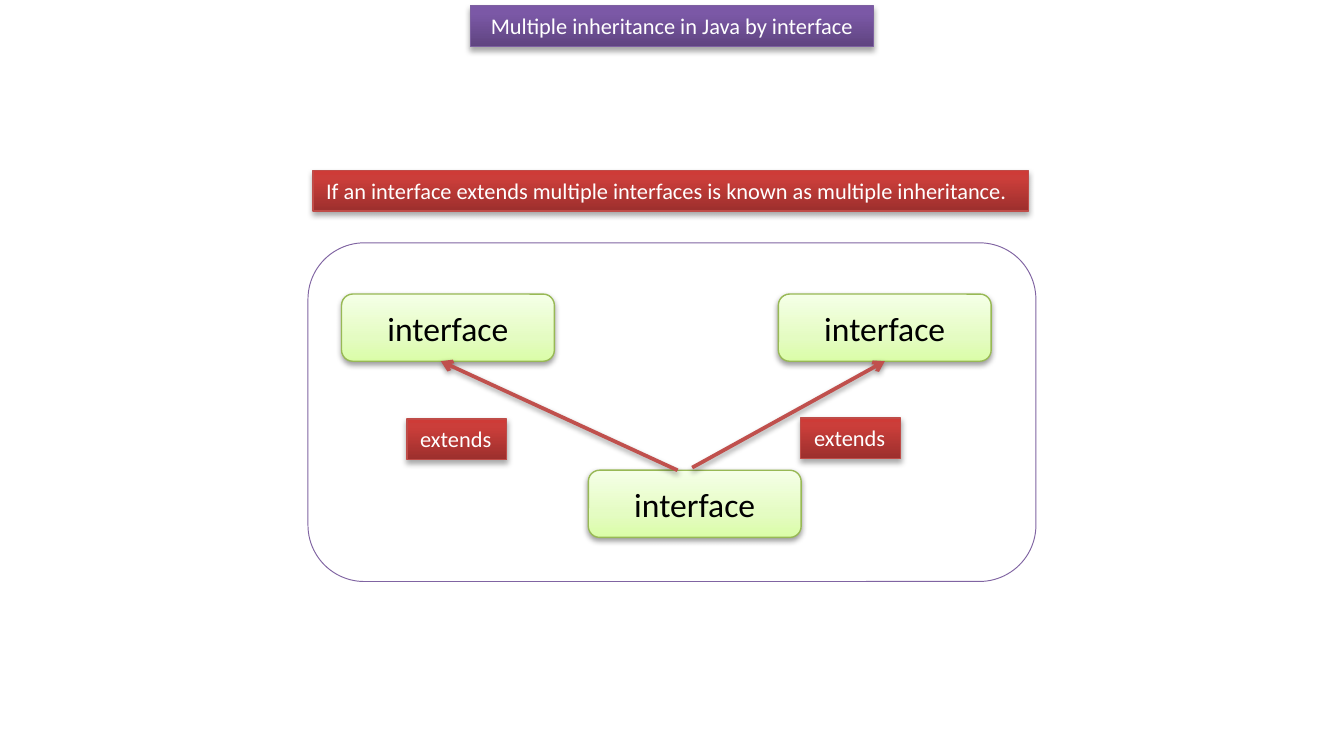
from lxml import etree
from pptx import Presentation
from pptx.dml.color import RGBColor
from pptx.enum.shapes import MSO_CONNECTOR, MSO_SHAPE
from pptx.enum.text import MSO_ANCHOR, PP_ALIGN
from pptx.oxml.ns import qn
from pptx.util import Pt

FONT = "Calibri"
COLORS = {"white": "FFFFFF", "black": "000000", "frame": "8064A2", "arrow": "C0504D"}

# Gradients run from the bottom edge (0 %) to the top edge (100 %)
STYLES = {
    "purple": {"stops": [(0, "5F4480"), (80, "7B58A6"), (100, "7C57A8")],
               "line": "7D60A0", "text": COLORS["white"], "size": 12, "shadow": (35, 1.8)},
    "red": {"stops": [(0, "9C2F2D"), (80, "CB3E3A"), (100, "CE3B37")],
            "line": "BF4C48", "text": COLORS["white"], "size": 12, "shadow": (35, 1.8)},
    "green": {"stops": [(0, "DAFDA7"), (35, "E4FCC2"), (100, "F5FFE7")],
              "line": "98B955", "text": COLORS["black"], "size": 18, "shadow": (38, 1.6)},
}

# Content: text and position in points
FRAME = (165, 130.1, 390, 181.5)
LABEL_H = 21.8
TITLE = ("Multiple inheritance in Java by interface", 252, 3, 216)
STATEMENT = ("If an interface extends multiple interfaces is known as multiple inheritance.",
             167.6, 91.4, 383.4)
BOX_W, BOX_H = 114, 36
PARENT_Y, CHILD_Y = 157.6, 252
INTERFACES = [("interface", 417, PARENT_Y), ("interface", 183, PARENT_Y),
              ("interface", 315.2, CHILD_Y)]
ARROWS = [((363, 252), (236.2, 193.6)), ((370.8, 250.6), (474, 193.6))]
EXTENDS = [("extends", 218, 224.5, 53.5), ("extends", 429, 223.9, 53.5)]


def rgb(value):
    return RGBColor.from_string(value)


def add_shadow(effects, alpha, distance):
    shadow = etree.SubElement(effects, qn("a:outerShdw"), blurRad=str(Pt(3.1)),
                              dist=str(Pt(distance)), dir="5400000", rotWithShape="0")
    color = etree.SubElement(shadow, qn("a:srgbClr"), val=COLORS["black"])
    etree.SubElement(color, qn("a:alpha"), val=str(alpha * 1000))


def fill_gradient(sp, stops):
    sp.fill.gradient()
    sp.fill.gradient_angle = 90
    gs_list = sp._element.spPr.find(".//" + qn("a:gsLst"))
    for gs in list(gs_list):
        gs_list.remove(gs)
    for position, color in stops:
        gs = etree.SubElement(gs_list, qn("a:gs"), pos=str(position * 1000))
        etree.SubElement(gs, qn("a:srgbClr"), val=color)


def add_box(kind, style, text, x, y, w, h, align=PP_ALIGN.CENTER,
            anchor=MSO_ANCHOR.TOP, wrap=True):
    look = STYLES[style]
    sp = shapes.add_shape(kind, Pt(x), Pt(y), Pt(w), Pt(h))
    fill_gradient(sp, look["stops"])
    sp.line.color.rgb = rgb(look["line"])
    sp.line.width = Pt(0.75)
    sp.shadow.inherit = False
    add_shadow(sp._element.spPr.find(qn("a:effectLst")), *look["shadow"])
    tf = sp.text_frame
    tf.word_wrap = wrap
    tf.vertical_anchor = anchor
    p = tf.paragraphs[0]
    p.alignment = align
    r = p.add_run()
    r.text = text
    r.font.name = FONT
    r.font.size = Pt(look["size"])
    r.font.color.rgb = rgb(look["text"])
    return sp


def add_label(style, text, x, y, w, **options):
    return add_box(MSO_SHAPE.RECTANGLE, style, text, x, y, w, LABEL_H, **options)


def add_arrow(start, end):
    line = shapes.add_connector(MSO_CONNECTOR.STRAIGHT, *(Pt(v) for v in start + end))
    line.line.color.rgb = rgb(COLORS["arrow"])
    line.line.width = Pt(2)
    etree.SubElement(line.line._get_or_add_ln(), qn("a:tailEnd"), type="arrow")
    add_shadow(etree.SubElement(line._element.spPr, qn("a:effectLst")), 38, 1.6)
    return line


prs = Presentation()
prs.slide_width, prs.slide_height = Pt(720), Pt(396)
shapes = prs.slides.add_slide(prs.slide_layouts[6]).shapes

# Frame around the diagram
frame = shapes.add_shape(MSO_SHAPE.ROUNDED_RECTANGLE, *(Pt(v) for v in FRAME))
frame.fill.solid()
frame.fill.fore_color.rgb = rgb(COLORS["white"])
frame.line.color.rgb = rgb(COLORS["frame"])
frame.line.width = Pt(0.5)
frame.shadow.inherit = False

# Title and statement
add_label("purple", *TITLE)
add_label("red", *STATEMENT, align=PP_ALIGN.LEFT)

# Interfaces: right parent, left parent, child
right, left, child = [
    add_box(MSO_SHAPE.ROUNDED_RECTANGLE, "green", text, x, y, BOX_W, BOX_H,
            anchor=MSO_ANCHOR.MIDDLE)
    for text, x, y in INTERFACES]

# Arrows from the child to its parents, with their labels
to_left, to_right = [add_arrow(start, end) for start, end in ARROWS]
to_right.end_connect(right, 2)
for label in EXTENDS:
    add_label("red", *label, align=PP_ALIGN.LEFT, wrap=False)

prs.save("out.pptx")
